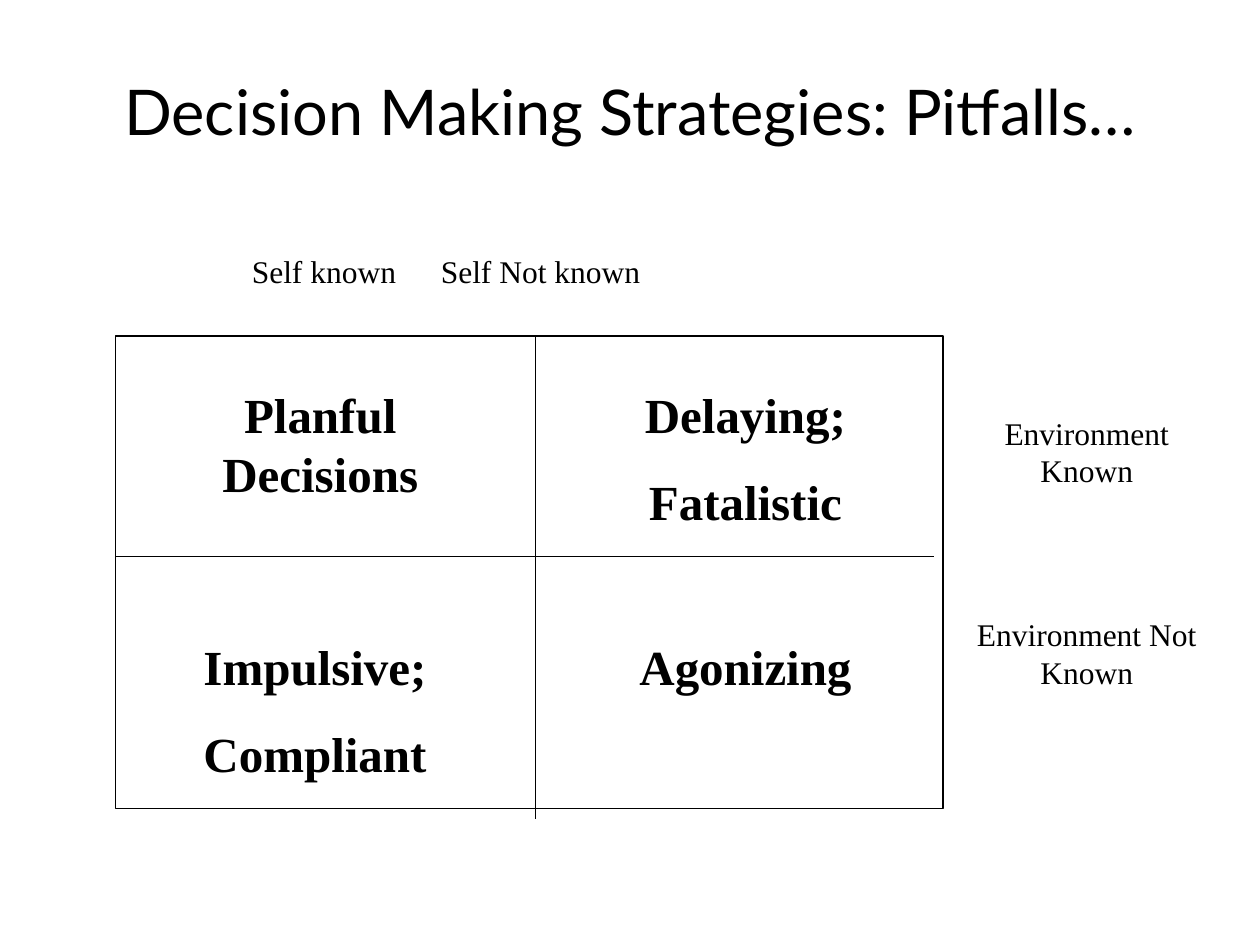
from lxml.etree import SubElement
from pptx import Presentation
from pptx.dml.color import RGBColor
from pptx.enum.shapes import MSO_CONNECTOR as Link, MSO_SHAPE as Shape
from pptx.enum.text import MSO_ANCHOR as Anchor, PP_ALIGN as Align
from pptx.oxml.ns import qn
from pptx.util import Inches, Pt

UNIT = Inches(1) / 12  # grid of 120 columns by 90 rows


def grid(*cells):
    return [round(cell * UNIT) for cell in cells]


def color(code):
    return RGBColor.from_string(code)


class Board:
    ink = "000000"
    head = "Lato"
    body = "Times New Roman"

    def __init__(self, deck):
        self.slide = deck.slides.add_slide(deck.slide_layouts[5])
        self.shapes = self.slide.shapes

    def fill_text(self, frame, lines, size, name, bold=False, gap=0, align=Align.CENTER):
        frame.text = "\n".join(lines)
        frame.word_wrap = True
        for i, para in enumerate(frame.paragraphs):
            para.alignment = align
            para.space_before = Pt(gap if i else 0)
            for run in para.runs:
                font = run.font
                font.name, font.size, font.bold = name, Pt(size), bold
                font.color.rgb = color(self.ink)

    def title(self, text, *box):
        shape = self.shapes.title
        shape.left, shape.top, shape.width, shape.height = grid(*box)
        shape.text_frame.vertical_anchor = Anchor.MIDDLE
        self.fill_text(shape.text_frame, [text], 36, self.head)

    def stroke(self, line):
        line.color.rgb = color(self.ink)
        line.width = Pt(1)

    def frame(self, *box):
        shape = self.shapes.add_shape(Shape.RECTANGLE, *grid(*box))
        shape.shadow.inherit = False
        shape.fill.background()
        self.stroke(shape.line)

    def rule(self, *ends):
        line = self.shapes.add_connector(Link.STRAIGHT, *grid(*ends))
        self.stroke(line.line)
        SubElement(line._element.spPr, qn("a:effectLst"))

    def label(self, lines, *box, **style):
        frame = self.shapes.add_textbox(*grid(*box)).text_frame
        self.fill_text(frame, lines, name=self.body, **style)
        return frame

    def heads(self, names, indent, stop, *box):
        """Column headings on one line, the second at a tab stop."""
        frame = self.label(["\t".join(names)], *box, size=18, align=Align.LEFT)
        props = frame.paragraphs[0]._p.get_or_add_pPr()
        props.set("marL", str(grid(indent)[0]))
        props.set("indent", "0")
        tabs = SubElement(props, qn("a:tabLst"))
        SubElement(tabs, qn("a:tab"), pos=str(grid(stop)[0]), algn="l")


def main():
    deck = Presentation()
    deck.slide_width, deck.slide_height = grid(120, 90)
    board = Board(deck)
    board.title("Decision Making Strategies: Pitfalls…", 9, 5, 102, 11)
    board.frame(11, 32, 78.8, 45)
    board.rule(51, 32, 51, 78)
    board.rule(11, 53, 89, 53)
    board.heads(["Self known", "Self Not known"], 3.8, 36.8, 19, 23.4, 74, 4.8)

    cells = [
        (["Agonizing"], 56, 60, 30, 6.8, 0),
        (["Impulsive;", "Compliant"], 15, 60, 30, 15.2, 16),
        (["Delaying;", "Fatalistic"], 53, 36, 36, 15.2, 16),
        (["Planful", "Decisions"], 20, 36, 21, 12.4, 0),
    ]
    for lines, *box, gap in cells:
        board.label(lines, *box, size=28, bold=True, gap=gap)
    board.label(["Environment Known", "Environment Not Known"],
                91, 38.8, 25, 28.4, size=18, gap=72)
    deck.save("out.pptx")


if __name__ == "__main__":
    main()
